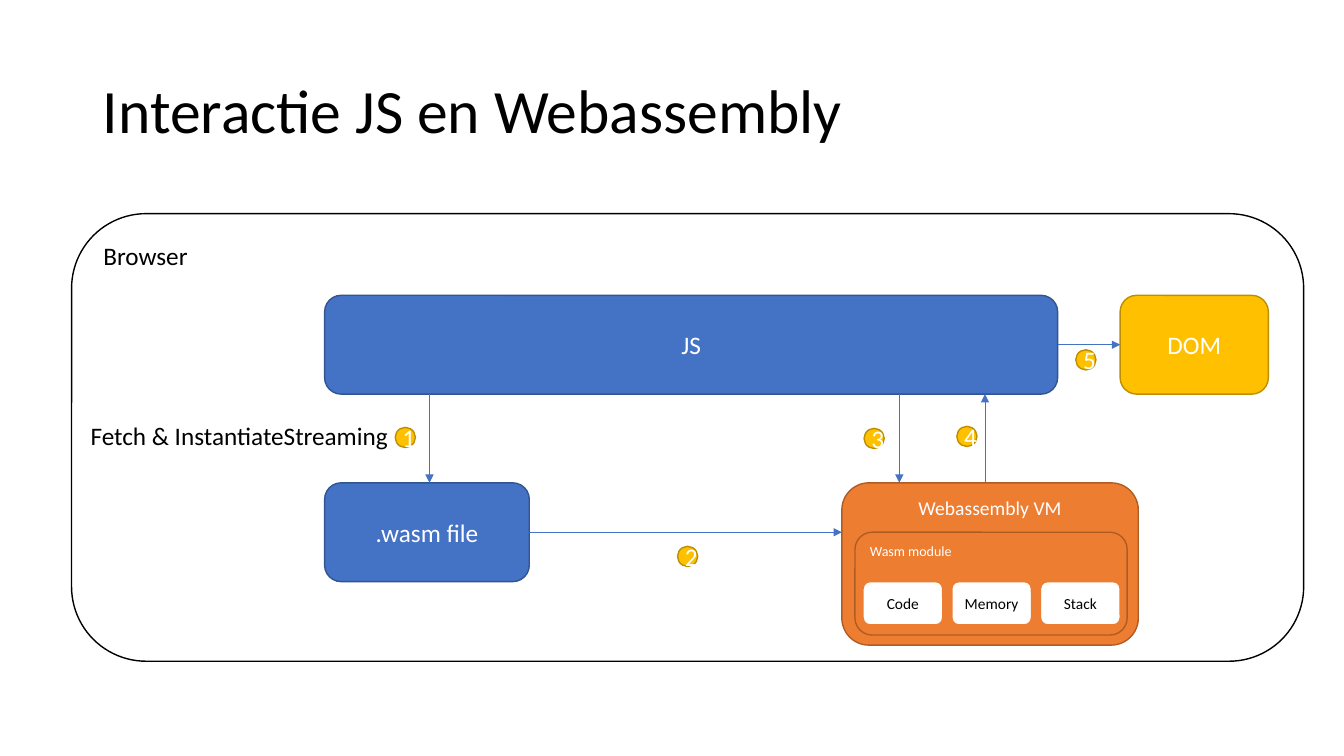
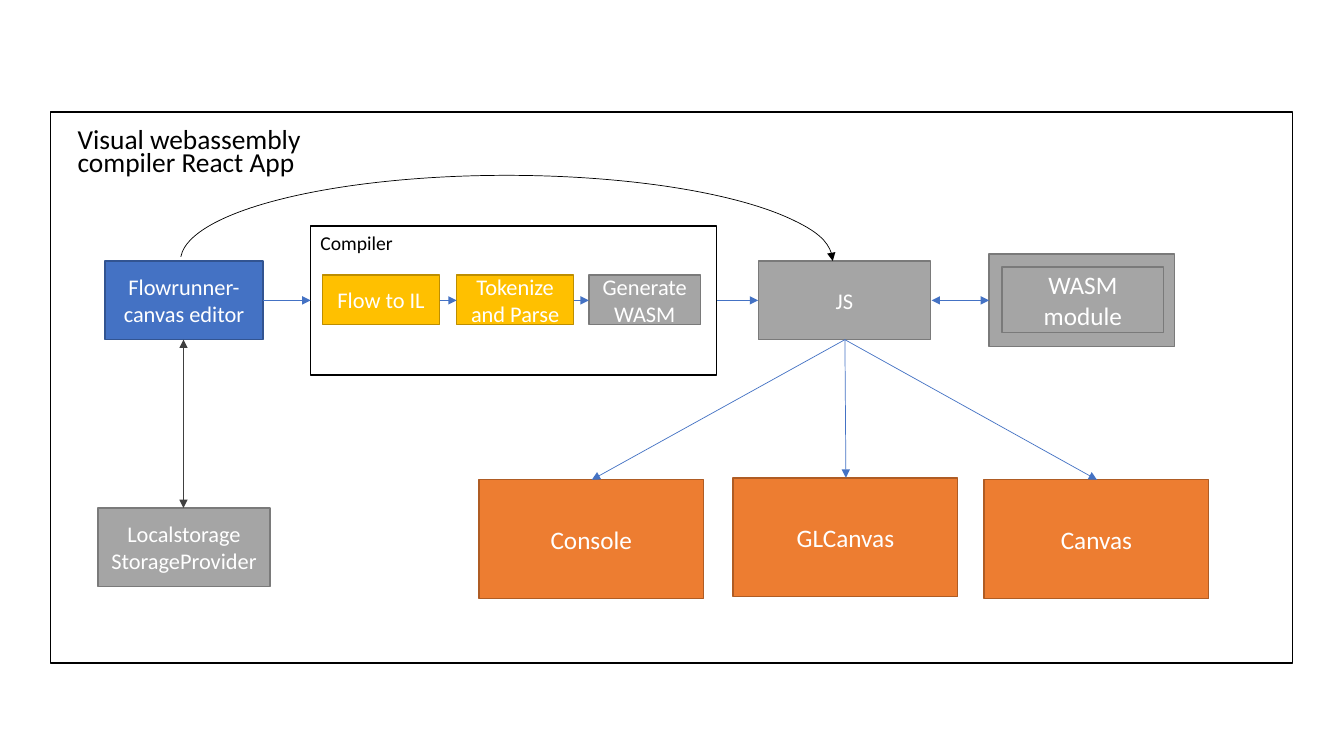
from lxml import etree
from pptx import Presentation
from pptx.dml.color import RGBColor
from pptx.enum.shapes import MSO_CONNECTOR, MSO_SHAPE
from pptx.enum.text import MSO_ANCHOR, MSO_AUTO_SIZE, PP_ALIGN
from pptx.oxml.ns import qn
from pptx.util import Inches, Pt

rgb = RGBColor.from_string
FONT = "Calibri"
BLACK, WHITE, DARK = "000000", "FFFFFF", "404040"
BLUE, ORANGE, GOLD, GREY = "4472C4", "ED7D31", "FFC000", "A5A5A5"
BORDERS = {WHITE: BLACK, BLUE: "325491", ORANGE: "AF5C24",
           GOLD: "BD8E00", GREY: "7A7A7A"}
RECT, ROUND, OVAL = MSO_SHAPE.RECTANGLE, MSO_SHAPE.ROUNDED_RECTANGLE, MSO_SHAPE.OVAL
LEFT, CENTER = PP_ALIGN.LEFT, PP_ALIGN.CENTER
TOP, MIDDLE = MSO_ANCHOR.TOP, MSO_ANCHOR.MIDDLE


def add_box(s, kind, at, fill, text="", size=18, align=CENTER, anchor=MIDDLE, border=None):
    sp = s.shapes.add_shape(kind, *map(Inches, at))
    sp.shadow.inherit = False
    sp.fill.solid()
    sp.fill.fore_color.rgb = rgb(fill)
    sp.line.color.rgb = rgb(border or BORDERS[fill])
    sp.line.width = Pt(1)
    tf = sp.text_frame
    tf.text = text
    tf.word_wrap = True
    tf.vertical_anchor = anchor
    p = tf.paragraphs[0]
    p.alignment = align
    p.font.name = FONT
    p.font.size = Pt(size)
    p.font.color.rgb = rgb(BLACK if fill == WHITE else WHITE)
    return sp


def style_arrow(sp, colour=BLUE, width=0.5, both=False):
    """Colour the line, add its arrowheads and remove the shadow."""
    sp.line.color.rgb = rgb(colour)
    sp.line.width = Pt(width)
    props = sp._element.spPr
    ln = props.find(qn("a:ln"))
    for end in ("a:headEnd", "a:tailEnd") if both else ("a:tailEnd",):
        etree.SubElement(ln, qn(end), type="triangle")
    etree.SubElement(props, qn("a:effectLst"))


prs = Presentation()
prs.slide_width, prs.slide_height = Inches(13.33), Inches(7.5)

titles = [
    # text, place, size, line spacing, space before, anchor
    ("Interactie JS en Webassembly", (0.92, 0.4, 11.5, 1.45), 44, 0.9, 0, MIDDLE),
    ("Visual webassembly compiler React App", (0.67, 1.25, 3.32, 0.59), 19.6, 0.7, 10, TOP),
]
for text, at, size, spacing, before, anchor in titles:
    s = prs.slides.add_slide(prs.slide_layouts[5])
    title = s.shapes.title
    title.left, title.top, title.width, title.height = map(Inches, at)
    tf = title.text_frame
    tf.text = text
    tf.word_wrap = True
    tf.auto_size = MSO_AUTO_SIZE.NONE
    tf.vertical_anchor = anchor
    p = tf.paragraphs[0]
    p.alignment = LEFT
    p.line_spacing = spacing
    p.space_before = Pt(before)
    p.font.name = FONT
    p.font.size = Pt(size)
    p.font.color.rgb = rgb(BLACK)

interaction, architecture = prs.slides

# Interaction between JS and Webassembly
s = interaction
add_box(s, ROUND, (0.71, 2.12, 12.22, 4.44), WHITE, "Browser", align=LEFT, anchor=TOP)
add_box(s, ROUND, (3.22, 2.93, 7.27, 0.98), BLUE, "JS")
add_box(s, ROUND, (3.22, 4.79, 2.03, 0.98), BLUE, ".wasm file")
add_box(s, ROUND, (11.11, 2.93, 1.47, 0.98), GOLD, "DOM")
add_box(s, ROUND, (8.35, 4.79, 2.94, 1.61), ORANGE, "Webassembly VM", 14, anchor=TOP)
add_box(s, ROUND, (8.48, 5.28, 2.7, 1.02), ORANGE, "Wasm module", 10, LEFT, TOP)
for i, part in enumerate(("Code", "Memory", "Stack")):
    add_box(s, ROUND, (8.56 + 0.88 * i, 5.77, 0.79, 0.43), WHITE, part, 11, border=ORANGE)

label = s.shapes.add_textbox(Inches(0.8), Inches(4.12), Inches(3.18), Inches(0.4))
tf = label.text_frame
tf.text = "Fetch & InstantiateStreaming"
tf.word_wrap = False
tf.auto_size = MSO_AUTO_SIZE.SHAPE_TO_FIT_TEXT
font = tf.paragraphs[0].font
font.name, font.size = FONT, Pt(18)
font.color.rgb = rgb(BLACK)

steps = [
    # arrow from and to, place of its number
    ((4.26, 3.91, 4.26, 4.79), (3.92, 4.24)),
    ((5.25, 5.28, 8.35, 5.28), (6.72, 5.42)),
    ((8.92, 3.91, 8.92, 4.79), (8.57, 4.25)),
    ((9.77, 4.79, 9.77, 3.91), (9.49, 4.23)),
    ((10.49, 3.42, 11.11, 3.42), (10.67, 3.47)),
]
for number, (ends, (x, y)) in enumerate(steps, 1):
    style_arrow(s.shapes.add_connector(MSO_CONNECTOR.STRAIGHT, *map(Inches, ends)))
    add_box(s, OVAL, (x, y, 0.2, 0.2), GOLD, str(number))

# Architecture of the visual compiler
s = architecture
frame = add_box(s, RECT, (0.5, 1.11, 12.32, 5.47), WHITE)
s.shapes.title._element.addprevious(frame._element)  # keeps the title in front
add_box(s, RECT, (3.08, 2.24, 4.03, 1.48), WHITE, "Compiler", 14, LEFT, TOP)
for at, fill, text, size in [
    ((1.04, 2.59, 1.57, 0.78), BLUE, "Flowrunner-canvas editor", 16),
    ((0.97, 5.04, 1.71, 0.78), GREY, "Localstorage StorageProvider", 16),
    ((3.2, 2.73, 1.16, 0.49), GOLD, "Flow to IL", 16),
    ((4.53, 2.73, 1.16, 0.49), GOLD, "Tokenize and Parse", 16),
    ((5.84, 2.73, 1.11, 0.49), GREY, "Generate WASM", 16),
    ((7.52, 2.59, 1.71, 0.78), GREY, "JS", 16),
    ((9.81, 2.52, 1.84, 0.92), GREY, "", 18),
    ((9.94, 2.65, 1.6, 0.65), GREY, "WASM module", 18),
    ((4.75, 4.76, 2.23, 1.18), ORANGE, "Console", 18),
    ((7.27, 4.74, 2.23, 1.18), ORANGE, "GLCanvas", 18),
    ((9.76, 4.76, 2.23, 1.18), ORANGE, "Canvas", 18),
]:
    add_box(s, RECT, at, fill, text, size)

for ends, colour, width, both in [
    ((1.82, 3.37, 1.82, 5.04), DARK, 0.5, True),
    ((2.61, 2.98, 3.08, 2.98), BLUE, 1, False),
    ((4.36, 2.98, 4.53, 2.98), BLUE, 0.5, False),
    ((5.69, 2.98, 5.84, 2.98), BLUE, 0.5, False),
    ((7.11, 2.98, 7.52, 2.98), BLUE, 1, False),
    ((9.24, 2.98, 9.81, 2.98), BLUE, 0.5, True),
    ((8.38, 3.37, 5.87, 4.76), BLUE, 0.5, False),
    ((8.38, 3.37, 8.39, 4.74), BLUE, 0.5, False),
    ((8.38, 3.37, 10.88, 4.76), BLUE, 0.5, False),
]:
    line = s.shapes.add_connector(MSO_CONNECTOR.STRAIGHT, *map(Inches, ends))
    style_arrow(line, colour, width, both)

arc = s.shapes.add_shape(MSO_SHAPE.ARC, *map(Inches, (1.79, 1.74, 6.47, 1.7)))
arc.adjustments[0], arc.adjustments[1] = 108.44, 0
arc.fill.background()
style_arrow(arc, BLACK)

prs.save("out.pptx")
